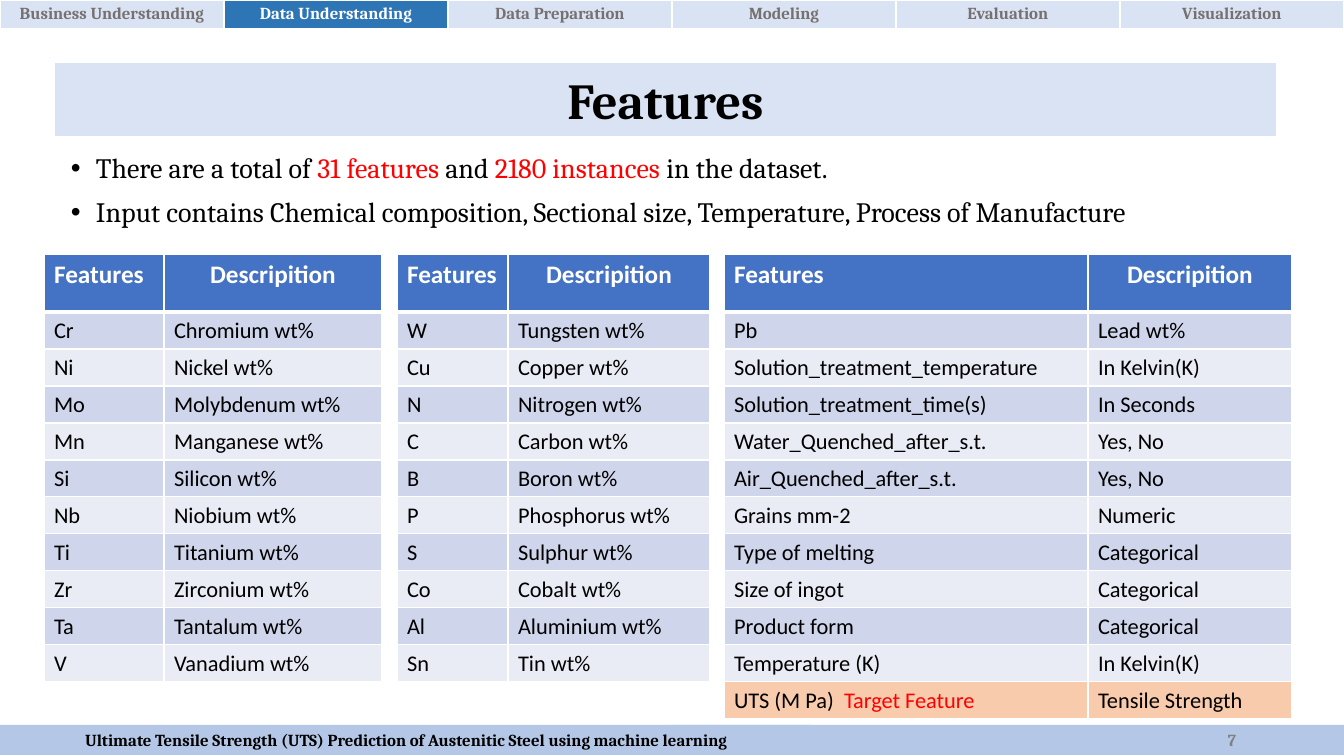
import lxml.etree
import pptx
import pptx.dml.color
import pptx.enum.shapes
import pptx.enum.text
import pptx.oxml.ns
import pptx.util

RGBColor = pptx.dml.color.RGBColor
BLACK = RGBColor(0x00, 0x00, 0x00)
WHITE = RGBColor(0xFF, 0xFF, 0xFF)
RED = RGBColor(0xFF, 0x00, 0x00)
GRAY = RGBColor(0x76, 0x71, 0x71)
PAGE_GRAY = RGBColor(0x80, 0x80, 0x80)
PALE_BLUE = RGBColor(0xDA, 0xE3, 0xF3)
ACTIVE_BLUE = RGBColor(0x2E, 0x75, 0xB6)
FOOTER_BLUE = RGBColor(0xB4, 0xC7, 0xE7)
HEADER_BLUE = RGBColor(0x44, 0x72, 0xC4)
BANDS = (RGBColor(0xE9, 0xEB, 0xF5), RGBColor(0xCF, 0xD5, 0xEA))
TARGET_ORANGE = RGBColor(0xF8, 0xCB, 0xAD)

CENTER = pptx.enum.text.PP_ALIGN.CENTER
LEFT = pptx.enum.text.PP_ALIGN.LEFT
MIDDLE = pptx.enum.text.MSO_ANCHOR.MIDDLE
qn = pptx.oxml.ns.qn

STAGES = ["Business Understanding", "Data Understanding", "Data Preparation",
          "Modeling", "Evaluation", "Visualization"]
ACTIVE_STAGE = "Data Understanding"
BULLETS = [
    [("There are a total of ", BLACK), ("31 features ", RED), ("and ", BLACK),
     ("2180 instances ", RED), ("in the dataset.", BLACK)],
    [("Input contains Chemical composition, Sectional size, Temperature, "
      "Process of Manufacture", BLACK)],
]
FIRST_ELEMENTS = [
    ("Cr", "Chromium wt%"), ("Ni", "Nickel wt%"), ("Mo", "Molybdenum wt%"),
    ("Mn", "Manganese wt%"), ("Si", "Silicon wt%"), ("Nb", "Niobium wt%"),
    ("Ti", "Titanium wt%"), ("Zr", "Zirconium wt%"), ("Ta", "Tantalum wt%"),
    ("V", "Vanadium wt%"),
]
SECOND_ELEMENTS = [
    ("W", "Tungsten wt%"), ("Cu", "Copper wt%"), ("N", "Nitrogen wt%"),
    ("C", "Carbon wt%"), ("B", "Boron wt%"), ("P", "Phosphorus wt%"),
    ("S", "Sulphur wt%"), ("Co", "Cobalt wt%"), ("Al", "Aluminium wt%"),
    ("Sn", "Tin wt%"),
]
PROCESS_FEATURES = [
    ("Pb", "Lead wt%"), ("Solution_treatment_temperature", "In Kelvin(K)"),
    ("Solution_treatment_time(s)", "In Seconds"),
    ("Water_Quenched_after_s.t.", "Yes, No"), ("Air_Quenched_after_s.t.", "Yes, No"),
    ("Grains mm-2", "Numeric"), ("Type of melting", "Categorical"),
    ("Size of ingot", "Categorical"), ("Product form", "Categorical"),
    ("Temperature (K)", "In Kelvin(K)"), ("UTS (M Pa)  ", "Tensile Strength"),
]


def px(count):
    """Turn whole pixels into EMU."""
    return pptx.util.Emu(round(count * 914400 / 100.8))


def add_span(para, text, size=12, color=BLACK, font="Cambria", bold=False):
    """Append formatted text to a paragraph."""
    span = para.add_run()
    span.text = text
    span.font.size = pptx.util.Pt(size)
    span.font.name = font
    span.font.bold = bold
    span.font.color.rgb = color


def add_borders(cell, **widths):
    """Draw white cell borders, with sides L, R, T, B in points."""
    properties = cell._tc.get_or_add_tcPr()
    for side, width in widths.items():
        line = lxml.etree.SubElement(properties, qn(f"a:ln{side}"),
                                     w=str(pptx.util.Pt(width)))
        fill = lxml.etree.SubElement(line, qn("a:solidFill"))
        lxml.etree.SubElement(fill, qn("a:srgbClr"), val=str(WHITE))


class FeatureSlide:
    """Hold the deck style and the current slide."""

    row_height = 37
    header_height = 58

    def __init__(self, deck):
        """Add a title-only slide."""
        self.page = deck.slides.add_slide(deck.slide_layouts[5])

    def title(self, text, left, top, width, height):
        """Place and format the title placeholder."""
        box = self.page.shapes.title
        box.left, box.top, box.width, box.height = map(px, (left, top, width, height))
        box.fill.solid()
        box.fill.fore_color.rgb = PALE_BLUE
        box.text_frame.auto_size = pptx.enum.text.MSO_AUTO_SIZE.NONE
        box.text_frame.vertical_anchor = MIDDLE
        para = box.text_frame.paragraphs[0]
        para.alignment = CENTER
        add_span(para, text, size=36, bold=True)

    def bar(self, text, left, top, width, height, color=BLACK, align=CENTER, indent=0):
        """Add a footer bar with one line of text."""
        box = self.page.shapes.add_shape(pptx.enum.shapes.MSO_SHAPE.RECTANGLE,
                                         *map(px, (left, top, width, height)))
        box.shadow.inherit = False
        box.fill.solid()
        box.fill.fore_color.rgb = FOOTER_BLUE
        box.line.fill.background()
        box.text_frame.vertical_anchor = MIDDLE
        para = box.text_frame.paragraphs[0]
        para.alignment = align
        para._p.get_or_add_pPr().set("indent", str(px(indent)))
        add_span(para, text, color=color, bold=True)

    def bullets(self, lines, left, top, width, height):
        """Add a bulleted text box."""
        box = self.page.shapes.add_textbox(*map(px, (left, top, width, height)))
        frame = box.text_frame
        frame.word_wrap = True
        for index, spans in enumerate(lines):
            para = frame.add_paragraph() if index else frame.paragraphs[0]
            properties = para._p.get_or_add_pPr()
            properties.set("marL", str(px(25)))
            properties.set("indent", str(px(-25)))
            lxml.etree.SubElement(properties, qn("a:buFont"), typeface="Arial")
            lxml.etree.SubElement(properties, qn("a:buChar"), char="•")
            para.line_spacing = 0.9
            para.space_before = pptx.util.Pt(10 if index else 0)
            for text, color in spans:
                add_span(para, text, size=20, color=color)

    def grid(self, left, top, widths, heights):
        """Add an empty table with the given column widths and row heights."""
        table = self.page.shapes.add_table(
            len(heights), len(widths),
            *map(px, (left, top, sum(widths), sum(heights)))).table
        for column, width in zip(table.columns, widths):
            column.width = px(width)
        for row, height in zip(table.rows, heights):
            row.height = px(height)
        return table

    def cell(self, cell, text, fill, align=LEFT, **style):
        """Fill one table cell and write its text."""
        cell.fill.solid()
        cell.fill.fore_color.rgb = fill
        para = cell.text_frame.paragraphs[0]
        para.alignment = align
        add_span(para, text, **style)

    def stages(self, names, active):
        """Add the navigation strip."""
        table = self.grid(0, 0, [224] * len(names), [29])
        for column, name in enumerate(names):
            cell = table.cell(0, column)
            cell.margin_top = cell.margin_bottom = 0
            cell.vertical_anchor = MIDDLE
            add_borders(cell, L=2.25, R=2.25)
            fill, color = (ACTIVE_BLUE, WHITE) if name == active else (PALE_BLUE, GRAY)
            self.cell(cell, name, fill, CENTER, color=color, bold=True)

    def features(self, rows, left, widths, target=""):
        """Add a banded feature table, marking a target in its last row."""
        heights = [self.header_height] + [self.row_height] * len(rows)
        table = self.grid(left, 254, widths, heights)
        for row, values in enumerate([("Features", "Descripition")] + rows):
            for column, text in enumerate(values):
                cell = table.cell(row, column)
                add_borders(cell, L=1, R=1, T=3 if row == 1 else 1,
                            B=1 if row else 3)
                if row == 0:
                    self.cell(cell, text, HEADER_BLUE, CENTER if column else LEFT,
                              size=18, color=WHITE, font="Calibri", bold=True)
                    continue
                is_target = target and row == len(rows)
                fill = TARGET_ORANGE if is_target else BANDS[row % 2]
                self.cell(cell, text, fill, size=16, font="Calibri")
        if target:
            add_span(table.cell(len(rows), 0).text_frame.paragraphs[0], target,
                     size=16, color=RED, font="Calibri")


def main():
    """Build and save the deck."""
    deck = pptx.Presentation()
    deck.slide_width, deck.slide_height = px(1344), px(756)
    slide = FeatureSlide(deck)
    slide.stages(STAGES, ACTIVE_STAGE)
    slide.title("Features", 55, 63, 1221, 73)
    slide.bar("7", 671, 725, 673, 30, color=PAGE_GRAY, align=LEFT, indent=547)
    slide.bullets(BULLETS, 61, 149, 1206, 99)
    slide.features(FIRST_ELEMENTS, 44, [120, 218])
    slide.features(PROCESS_FEATURES, 724, [364, 204], target="Target Feature")
    slide.features(SECOND_ELEMENTS, 397, [111, 202])
    slide.bar("Ultimate Tensile Strength (UTS) Prediction of Austenitic Steel "
              "using machine learning", 0, 725, 813, 30)
    deck.save("out.pptx")


if __name__ == "__main__":
    main()
